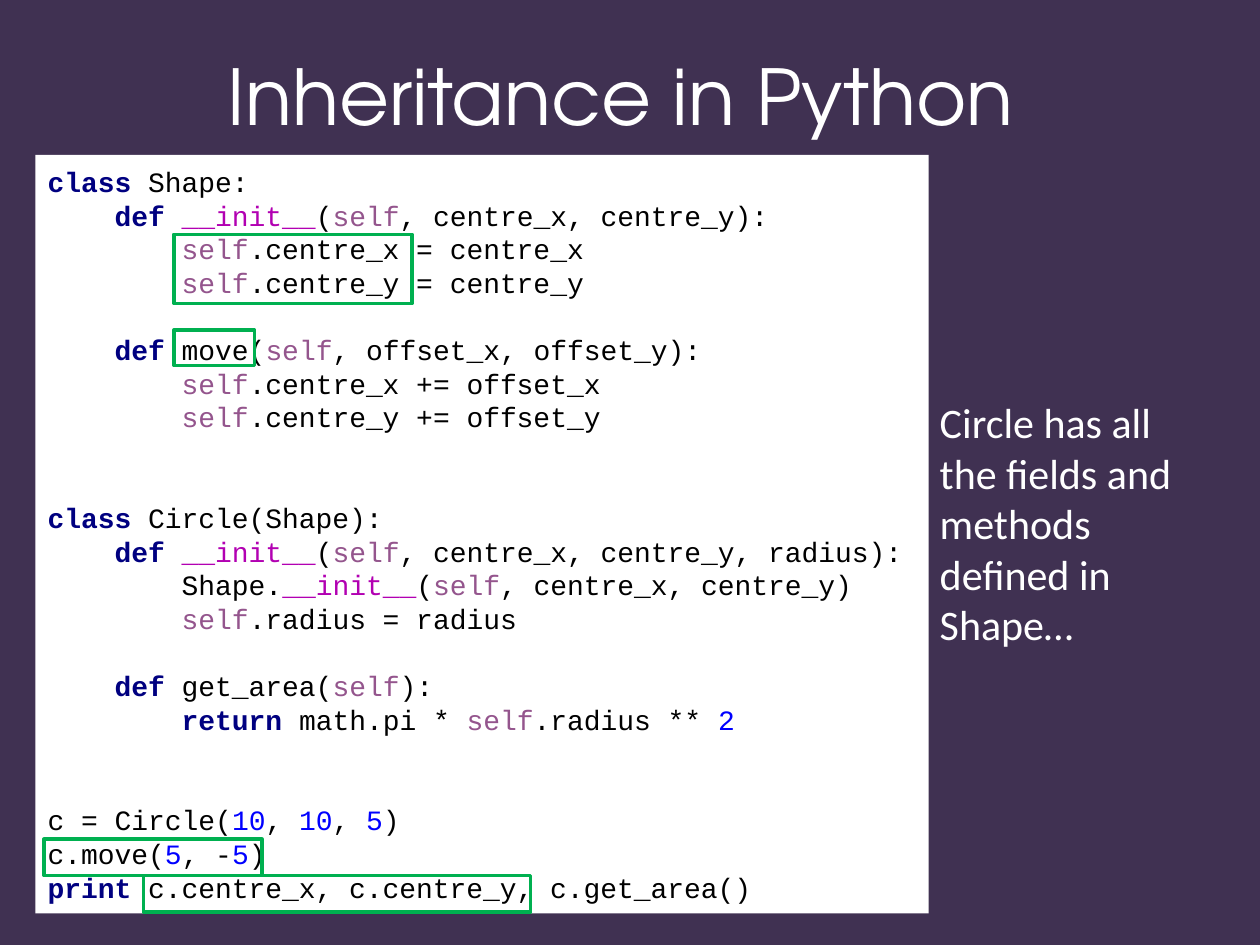
"""Build a slide on inheritance in Python with highlighted code."""
import copy
import itertools

import pptx
import pptx.dml.color
import pptx.enum.shapes
import pptx.enum.text
import pptx.oxml.ns
import pptx.util

COLORS = {
    "background": "403152", "white": "FFFFFF", "plain": "000000", "keyword": "000080",
    "special": "B200B2", "self": "94558D", "number": "0000FF", "highlight": "00B050",
}
TITLE = "Inheritance in Python"
NOTE = "Circle has all the fields and methods defined in Shape…"
CODE = """class Shape:
    def __init__(self, centre_x, centre_y):
        self.centre_x = centre_x
        self.centre_y = centre_y

    def move(self, offset_x, offset_y):
        self.centre_x += offset_x
        self.centre_y += offset_y


class Circle(Shape):
    def __init__(self, centre_x, centre_y, radius):
        Shape.__init__(self, centre_x, centre_y)
        self.radius = radius

    def get_area(self):
        return math.pi * self.radius ** 2


c = Circle(10, 10, 5)
c.move(5, -5)
print c.centre_x, c.centre_y, c.get_area()"""
WORD_KINDS = {
    "class": "keyword", "def": "keyword", "return": "keyword", "print": "keyword",
    "__init__": "special", "self": "self",
}
TITLE_BOX = (0.43, 0.13, 9, 1.25)
CODE_BOX = (0.28, 1.23, 7.09, 6.02)
NOTE_BOX = (7.36, 3.1, 2.28, 2.12)
METHOD_CALL_BOX = (0.35, 6.66, 1.73, 0.29)
FIELD_USE_BOX = (1.14, 6.95, 3.07, 0.29)
FIELDS_BOX = (1.38, 1.86, 1.89, 0.55)
METHOD_BOX = (1.38, 2.62, 0.64, 0.28)


def color(name):
    return pptx.dml.color.RGBColor.from_string(COLORS[name])


def inches(box):
    return [pptx.util.Inches(length) for length in box]


def set_format(target, values):
    for name, value in values.items():
        setattr(target, name, value)


def add_run(paragraph, text, font_name, size, color_name, bold=False):
    run = paragraph.add_run()
    run.text = text
    set_format(run.font, {"name": font_name, "size": pptx.util.Pt(size), "bold": bold})
    run.font.color.rgb = color(color_name)


def add_rectangle(slide, box):
    shape = slide.shapes.add_shape(pptx.enum.shapes.MSO_SHAPE.RECTANGLE, *inches(box))
    shape.shadow.inherit = False
    return shape


def add_highlight(slide, box):
    frame = add_rectangle(slide, box)
    frame.fill.background()
    frame.line.color.rgb = color("highlight")
    frame.line.width = pptx.util.Pt(2)


def split_code(line):
    """Yield the kind and text of each token, with spaces led into the next one."""
    spaces = ""
    for _, letters in itertools.groupby(line, lambda letter: letter.isalnum() or letter == "_"):
        token = "".join(letters)
        if token.isspace():
            spaces = token
            continue
        yield "number" if token.isdigit() else WORD_KINDS.get(token, "plain"), spaces + token
        spaces = ""


def add_code(paragraph):
    for index, line in enumerate(CODE.split("\n")):
        if index:
            paragraph.add_line_break()
        for kind, tokens in itertools.groupby(split_code(line), lambda token: token[0]):
            text = "".join(token[1] for token in tokens)
            add_run(paragraph, text, "Courier New", 16, kind, kind == "keyword")
    for line_break in paragraph._p.findall(pptx.oxml.ns.qn("a:br")):
        properties = line_break.getprevious().find(pptx.oxml.ns.qn("a:rPr"))
        line_break.append(copy.deepcopy(properties))


def main():
    presentation = pptx.Presentation()
    set_format(presentation, {"slide_width": pptx.util.Inches(10), "slide_height": pptx.util.Inches(7.5)})
    slide = presentation.slides.add_slide(presentation.slide_layouts[5])
    slide.background.fill.solid()
    slide.background.fill.fore_color.rgb = color("background")

    title = slide.shapes.title
    set_format(title, dict(zip(("left", "top", "width", "height"), inches(TITLE_BOX))))
    title.text_frame.vertical_anchor = pptx.enum.text.MSO_ANCHOR.MIDDLE
    title_paragraph = title.text_frame.paragraphs[0]
    title_paragraph.alignment = pptx.enum.text.PP_ALIGN.CENTER
    add_run(title_paragraph, TITLE, "TeX Gyre Adventor", 44, "white")

    panel = add_rectangle(slide, CODE_BOX)
    panel.fill.solid()
    panel.fill.fore_color.rgb = color("white")
    panel.line.fill.background()
    grow = pptx.enum.text.MSO_AUTO_SIZE.SHAPE_TO_FIT_TEXT
    set_format(panel.text_frame, {
        "word_wrap": False, "auto_size": grow,
        "vertical_anchor": pptx.enum.text.MSO_ANCHOR.MIDDLE,
    })
    code_paragraph = panel.text_frame.paragraphs[0]
    code_paragraph.alignment = pptx.enum.text.PP_ALIGN.LEFT
    add_code(code_paragraph)

    add_highlight(slide, METHOD_CALL_BOX)
    note = slide.shapes.add_textbox(*inches(NOTE_BOX))
    set_format(note.text_frame, {"word_wrap": True, "auto_size": grow})
    add_run(note.text_frame.paragraphs[0], NOTE, "Calibri", 24, "white")
    for box in (FIELD_USE_BOX, FIELDS_BOX, METHOD_BOX):
        add_highlight(slide, box)

    presentation.save("out.pptx")


if __name__ == "__main__":
    main()
